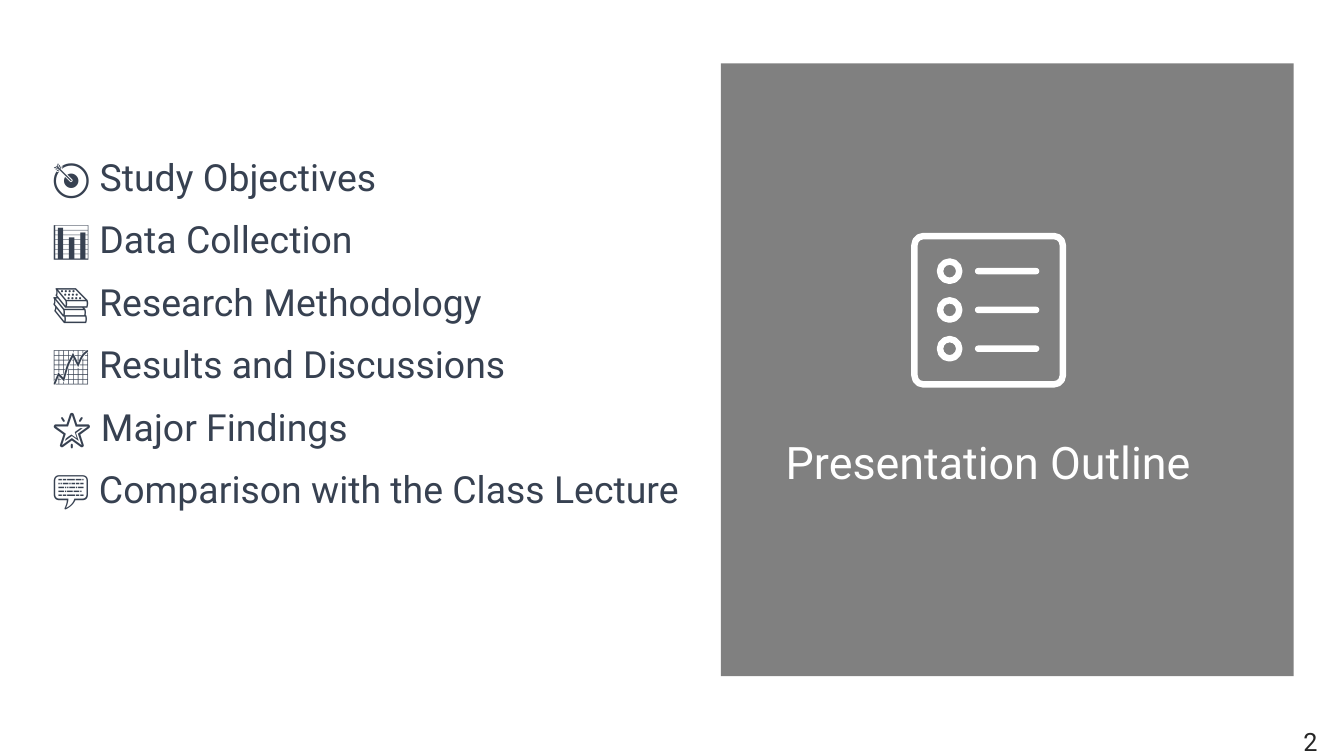
from dataclasses import dataclass

from pptx import Presentation
from pptx.dml.color import RGBColor
from pptx.enum.shapes import MSO_SHAPE as Preset
from pptx.enum.text import MSO_ANCHOR as Anchor, PP_ALIGN as Align
from pptx.util import Pt

FONT = "Roboto"
WHITE, GREY, SLATE, BLACK = "FFFFFF", "808080", "374151", "262626"
STROKE = 4.6
ICON_ROWS, FIRST_ROW_Y, ROW_PITCH = 3, 193.7, 27.7
RING_X, RING_SIZE = 678.3, 13.8
BAR_X, BAR_WIDTH = 696.4, 46

TOPICS = [
    "🎯 Study Objectives",
    "📊 Data Collection",
    "📚 Research Methodology",
    "📈 Results and Discussions",
    "🌟 Major Findings",
    "💬 Comparison with the Class Lecture",
]


@dataclass(frozen=True)
class Box:
    left: float
    top: float
    width: float
    height: float

    def lengths(self) -> list:
        return [Pt(v) for v in (self.left, self.top, self.width, self.height)]


@dataclass(frozen=True)
class TextStyle:
    size: float
    color: str
    align: Align = Align.LEFT
    line_spacing: float = 1.0
    space_before: float = 0


def rgb(color: str) -> RGBColor:
    return RGBColor.from_string(color)


def set_all(target, values: dict) -> None:
    for name, value in values.items():
        setattr(target, name, value)


def write(frame, lines: list[str], style: TextStyle) -> None:
    """Fill a text frame with one paragraph per line."""
    frame.text = "\n".join(lines)
    for paragraph in frame.paragraphs:
        set_all(paragraph, {
            "alignment": style.align,
            "line_spacing": style.line_spacing,
            "space_before": Pt(style.space_before),
        })
        for run in paragraph.runs:
            set_all(run.font, {"name": FONT, "size": Pt(style.size)})
            run.font.color.rgb = rgb(style.color)


def add_text(slide, box: Box, lines: list[str], style: TextStyle) -> None:
    frame = slide.shapes.add_textbox(*box.lengths()).text_frame
    frame.word_wrap = True
    write(frame, lines, style)


def add_solid(slide, preset: Preset, box: Box, color: str):
    shape = slide.shapes.add_shape(preset, *box.lengths())
    shape.shadow.inherit = False
    shape.fill.solid()
    shape.fill.fore_color.rgb = rgb(color)
    shape.line.fill.background()
    return shape


def add_outline(slide, preset: Preset, box: Box):
    shape = slide.shapes.add_shape(preset, *box.lengths())
    shape.shadow.inherit = False
    shape.fill.background()
    shape.line.color.rgb = rgb(WHITE)
    shape.line.width = Pt(STROKE)
    return shape


def add_list_icon(slide) -> None:
    frame = add_outline(slide, Preset.ROUNDED_RECTANGLE, Box(653.2, 168.6, 106, 106))
    frame.adjustments[0] = 0.06
    for row in range(ICON_ROWS):
        middle = FIRST_ROW_Y + row * ROW_PITCH
        add_outline(slide, Preset.OVAL, Box(
            RING_X - RING_SIZE / 2, middle - RING_SIZE / 2, RING_SIZE, RING_SIZE))
        bar = add_solid(slide, Preset.ROUNDED_RECTANGLE, Box(
            BAR_X, middle - STROKE / 2, BAR_WIDTH, STROKE), WHITE)
        bar.adjustments[0] = 0.5


def place_title(title, box: Box, text: str) -> None:
    set_all(title, dict(zip(("left", "top", "width", "height"), box.lengths())))
    set_all(title.text_frame, {
        "margin_left": 0, "margin_right": 0, "margin_top": 0, "margin_bottom": 0,
        "vertical_anchor": Anchor.MIDDLE, "word_wrap": True,
    })
    write(title.text_frame, [text], TextStyle(32, WHITE, Align.CENTER))


def main() -> None:
    deck = Presentation()
    set_all(deck, {"slide_width": Pt(960), "slide_height": Pt(540)})
    slide = deck.slides.add_slide(deck.slide_layouts[5])
    title = slide.shapes.title

    panel = add_solid(slide, Preset.RECTANGLE, Box(515, 45.2, 409, 437.8), GREY)
    title.element.addprevious(panel.element)
    add_list_icon(slide)
    place_title(title, Box(530, 310.5, 352, 39), "Presentation Outline")
    add_text(slide, Box(30.4, 100, 490, 328), TOPICS,
             TextStyle(26.7, SLATE, line_spacing=1.2, space_before=6.2))
    add_text(slide, Box(924, 515, 36, 29), ["2"], TextStyle(18, BLACK))
    deck.save("out.pptx")


if __name__ == "__main__":
    main()
